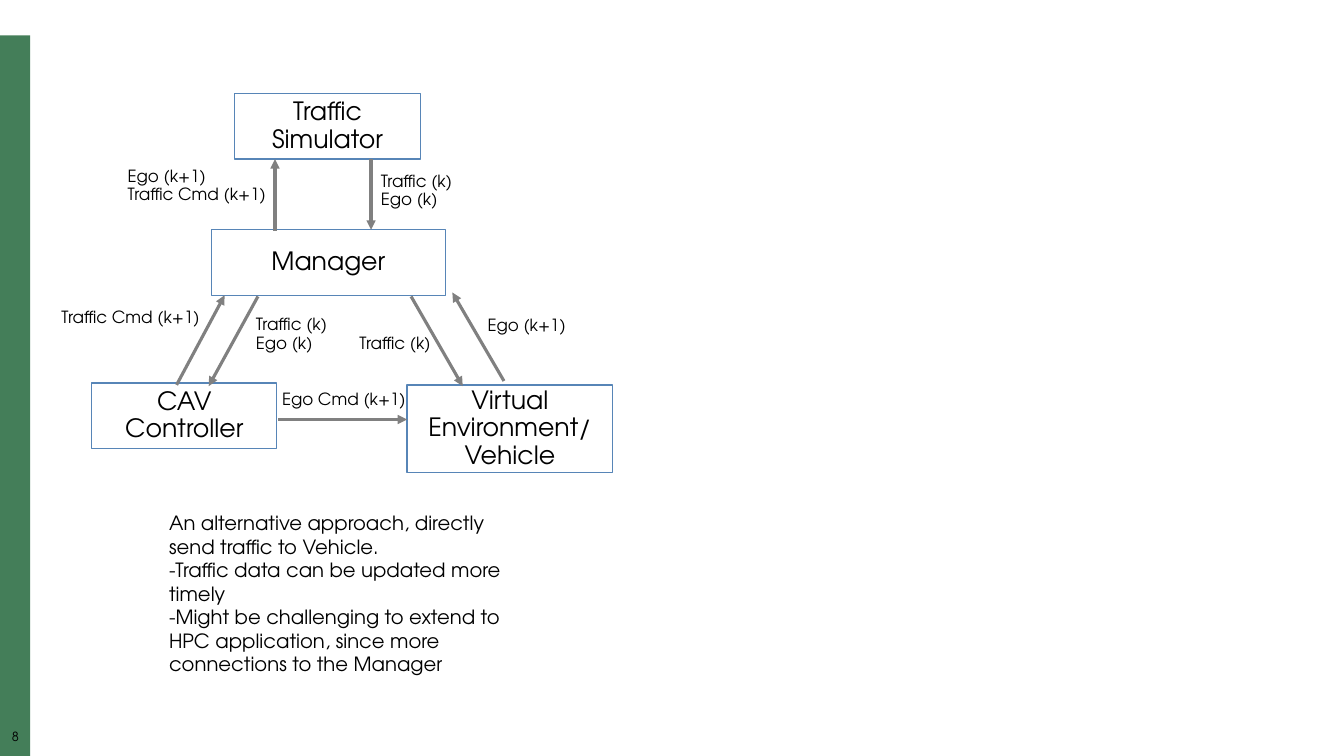
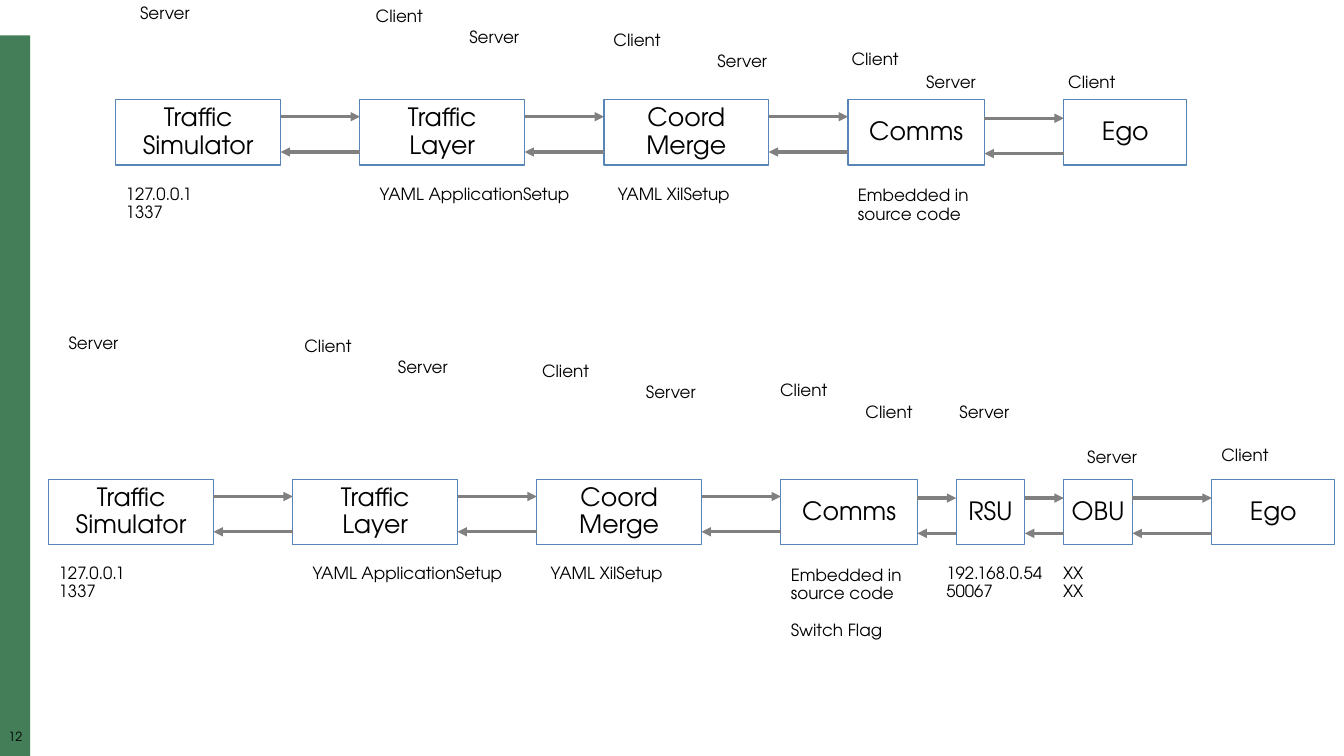
import pptx
import pptx.util
import pptx.dml.color
import pptx.enum.shapes
import pptx.enum.text
import pptx.oxml.ns
import lxml.etree

Cm = pptx.util.Cm
Pt = pptx.util.Pt
ALIGN = pptx.enum.text.PP_ALIGN

FONT = "TeX Gyre Adventor"
GREEN, BLUE, GREY, WHITE, BLACK = "447E59", "5785B7", "808080", "FFFFFF", "000000"
SLIDE_WIDTH, SLIDE_HEIGHT = 33.87, 19.05
BAND_TOP, BAND_WIDTH = 0.89, 0.76
BOX_HEIGHT, BOX_INSET = 1.65, 0.51

# Manager diagram: lengths in cm
MANAGER_BOXES = [  # name, left, top, width, height
    ("Manager", 5.33, 5.79, 5.89, BOX_HEIGHT),
    ("Traffic Simulator", 5.92, 2.36, 4.67, BOX_HEIGHT),
    ("CAV Controller", 2.31, 9.65, 4.67, BOX_HEIGHT),
    ("Virtual Environment/Vehicle", 10.26, 9.7, 5.18, 2.21),
]
MANAGER_ARROWS = [  # start, end with the head
    ((9.35, 4.01), (9.35, 5.79)),
    ((6.93, 5.82), (6.93, 4.01)),
    ((6.5, 7.47), (5.26, 9.73)),
    ((4.45, 9.7), (5.66, 7.44)),
    ((10.36, 7.47), (11.66, 9.73)),
    ((12.7, 9.6), (11.4, 7.37)),
    ((7.01, 10.57), (10.26, 10.57)),
]
MANAGER_LABELS = [  # lines, left, top, width
    (["Traffic (k)", "Ego (k)"], 9.35, 4.24, 2.51),
    (["Ego (k+1)", "Traffic Cmd (k+1)"], 2.97, 4.11, 4.15),
    (["Traffic (k)", "Ego (k)"], 6.2, 7.85, 2.51),
    (["Traffic Cmd (k+1)"], 1.3, 7.67, 4.15),
    (["Traffic (k)"], 8.81, 8.31, 2.51),
    (["Ego (k+1)"], 12.04, 7.87, 2.6),
    (["Ego Cmd (k+1)"], 6.86, 9.73, 3.91),
]
APPROACH = [
    "An alternative approach, directly send traffic to Vehicle.",
    "-Traffic data can be updated more timely",
    "-Might be challenging to extend to HPC application, "
    "since more connections to the Manager",
]

# Connection chains: name, width, gap before, side inset
SHARED_NODES = [
    ("Traffic Simulator", 4.15, 0, BOX_INSET),
    ("Traffic Layer", 4.15, 2, BOX_INSET),
    ("Coord Merge", 4.15, 2, BOX_INSET),
    ("Comms", 3.44, 2, BOX_INSET),
]
EGO = ("Ego", 3.1, 2, BOX_INSET)
RADIO_NODES = [("RSU", 1.73, 0.98, 0), ("OBU", 1.73, 0.98, 0)]

# Notes by node: lines, shift from the node's left, width
SHARED_NOTES = {
    "Traffic Simulator": (["127.0.0.1", "1337"], 0, 2.4),
    "Traffic Layer": (["YAML ApplicationSetup"], 0.25, 5.5),
    "Coord Merge": (["YAML XilSetup"], 0.1, 3.5),
    "Comms": (["Embedded in source code"], 0, 3.4),
}
RADIO_NOTES = {
    "Comms": (["Embedded in source code", "Switch Flag"], 0, 3.4),
    "RSU": (["192.168.0.54", "50067"], -0.5, 3.1),
    "OBU": (["XX", "XX"], -0.27, 1.1),
}
SHARED_ROLES = [  # role, left, top
    ("Server", 3.28, 0), ("Client", 9.22, 0.08), ("Server", 11.58, 0.61),
    ("Client", 15.21, 0.69), ("Server", 17.83, 1.22), ("Client", 21.21, 1.17),
]
CHAINS = [
    {
        "origin": (2.92, 2.51),
        "nodes": SHARED_NODES + [EGO],
        "notes": SHARED_NOTES,
        "role_shift": (0, 0),
        "roles": [("Server", 23.09, 1.73), ("Client", 26.67, 1.73)],
    },
    {
        "origin": (1.23, 12.08),
        "nodes": SHARED_NODES + RADIO_NODES + [EGO],
        "notes": SHARED_NOTES | RADIO_NOTES,
        "role_shift": (-1.8, 8.32),
        "roles": [("Client", 21.56, 10.06), ("Server", 23.93, 10.06),
                  ("Server", 27.15, 11.2), ("Client", 30.53, 11.15)],
    },
]
FORWARD_LANE, RETURN_LANE = 0.43, 1.32
LATE_LANE_DROP = 0.04
NOTE_DROP = 2.04
ROLE_WIDTH = 1.9


def color(hex_text):
    return pptx.dml.color.RGBColor.from_string(hex_text)


def write_lines(frame, lines, size, align=ALIGN.LEFT, spacing=0.9):
    frame.word_wrap = True
    for index, line in enumerate(lines):
        para = frame.paragraphs[0] if index == 0 else frame.add_paragraph()
        para.alignment = align
        para.line_spacing = spacing
        span = para.add_run()
        span.text = line
        span.font.name = FONT
        span.font.size = Pt(size)
        span.font.color.rgb = color(BLACK)


def set_insets(frame, side, vertical):
    frame.margin_left = frame.margin_right = Cm(side)
    frame.margin_top = frame.margin_bottom = Cm(vertical)


def add_text(page, lines, left, top, width, size=12, **style):
    height = 0.25 + 0.46 * len(lines)
    box = page.shapes.add_textbox(Cm(left), Cm(top), Cm(width), Cm(height))
    write_lines(box.text_frame, lines, size, **style)
    return box


def add_rectangle(page, left, top, width, height, fill, line=None):
    box = page.shapes.add_shape(
        pptx.enum.shapes.MSO_SHAPE.RECTANGLE,
        Cm(left), Cm(top), Cm(width), Cm(height))
    box.shadow.inherit = False
    box.fill.solid()
    box.fill.fore_color.rgb = color(fill)
    if line:
        box.line.color.rgb = color(line)
        box.line.width = Pt(0.85)
    else:
        box.line.fill.background()
    return box


def add_node(page, name, left, top, width, height=BOX_HEIGHT, side=BOX_INSET):
    box = add_rectangle(page, left, top, width, height, WHITE, BLUE)
    frame = box.text_frame
    frame.vertical_anchor = pptx.enum.text.MSO_ANCHOR.MIDDLE
    set_insets(frame, side, BOX_INSET)
    write_lines(frame, [name], 18, ALIGN.CENTER)


def add_arrow(page, start, end):
    arrow = page.shapes.add_connector(
        pptx.enum.shapes.MSO_CONNECTOR.STRAIGHT,
        *(Cm(value) for value in (*start, *end)))
    arrow.line.color.rgb = color(GREY)
    arrow.line.width = Pt(2.25)
    qn = pptx.oxml.ns.qn
    line = arrow.line._get_or_add_ln()
    lxml.etree.SubElement(line, qn("a:tailEnd"), type="triangle")
    lxml.etree.SubElement(arrow._element.spPr, qn("a:effectLst"))


def add_page(deck, number):
    page = deck.slides.add_slide(deck.slide_layouts[6])
    add_rectangle(page, 0, BAND_TOP, BAND_WIDTH, SLIDE_HEIGHT - BAND_TOP, GREEN)
    footer = add_text(page, [number], 0, 18.4, 0.78, 9, align=ALIGN.CENTER)
    footer.height = Cm(0.43)
    set_insets(footer.text_frame, 0, 0)
    return page


def add_manager_diagram(page):
    for box in MANAGER_BOXES:
        add_node(page, *box)
    for start, end in MANAGER_ARROWS:
        add_arrow(page, start, end)
    for label in MANAGER_LABELS:
        add_text(page, *label)
    approach = add_text(page, APPROACH, 4.01, 12.75, 9.25, 14, spacing=1.0)
    approach.height = Cm(4.45)


def add_chain(page, chain):
    """Draw boxes left to right, with a pair of arrows in each gap."""
    right, top = chain["origin"]
    for index, (name, width, gap, side) in enumerate(chain["nodes"]):
        left = right + gap
        add_node(page, name, left, top, width, side=side)
        if index:
            drop = LATE_LANE_DROP if index >= len(SHARED_NODES) else 0
            forward, back = top + FORWARD_LANE + drop, top + RETURN_LANE + drop
            add_arrow(page, (right, forward), (left, forward))
            add_arrow(page, (left, back), (right, back))
        if name in chain["notes"]:
            lines, shift, note_width = chain["notes"][name]
            note = add_text(page, lines, left + shift, top + NOTE_DROP, note_width)
            if name == "Comms":
                note.top = Cm(top + NOTE_DROP + 0.05)
                for para in note.text_frame.paragraphs[1:]:
                    para.space_before = Pt(13)
        right = left + width
    shift_x, shift_y = chain["role_shift"]
    shared = [(role, x + shift_x, y + shift_y) for role, x, y in SHARED_ROLES]
    for role, x, y in shared + chain["roles"]:
        add_text(page, [role], x, y, ROLE_WIDTH)


def main():
    deck = pptx.Presentation()
    deck.slide_width, deck.slide_height = Cm(SLIDE_WIDTH), Cm(SLIDE_HEIGHT)
    add_manager_diagram(add_page(deck, "8"))
    chain_page = add_page(deck, "12")
    for chain in CHAINS:
        add_chain(chain_page, chain)
    deck.save("out.pptx")


if __name__ == "__main__":
    main()
